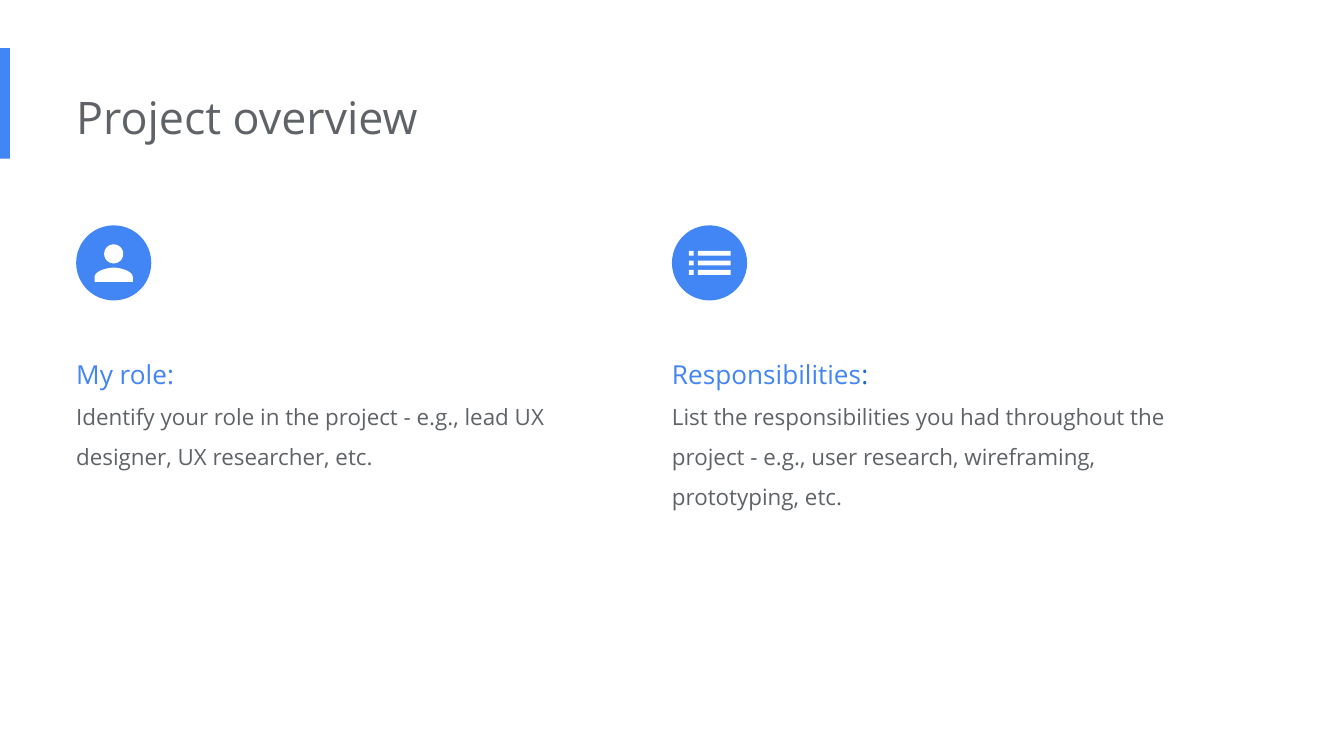
from math import cos, pi, sin

from pptx import Presentation
from pptx.dml.color import RGBColor
from pptx.enum.shapes import MSO_SHAPE
from pptx.enum.text import MSO_ANCHOR, MSO_AUTO_SIZE, PP_ALIGN
from pptx.util import Cm, Pt

# Content: heading runs (text, colour) and body of each column
FONT, BLUE, DARK_BLUE, GREY, WHITE = "Open Sans", "4285F4", "1967D2", "5F6368", "FFFFFF"
TITLE = "Project overview"
COLUMNS = [
    ([("My role:", BLUE)],
     "Identify your role in the project - e.g., lead UX designer, UX researcher, etc."),
    ([("Responsibilities", BLUE), (":", DARK_BLUE)],
     "List the responsibilities you had throughout the project - e.g., user research, "
     "wireframing, prototyping, etc."),
]

# Layout in centimetres
LEFT, COLUMN_STEP, COLUMN_WIDTH = 1.44, 11.26, 9.58
ICON_TOP, ICON_SIZE, TEXT_TOP = 4.26, 1.42, 6.22


def paint(shape, colour):
    shape.fill.solid()
    shape.fill.fore_color.rgb = RGBColor.from_string(colour)
    shape.line.fill.background()
    shape.shadow.inherit = False


def add_filled(kind, left, top, width, height, colour):
    shape = slide.shapes.add_shape(kind, Cm(left), Cm(top), Cm(width), Cm(height))
    paint(shape, colour)


def set_frame(frame):
    frame.word_wrap = True
    frame.auto_size = MSO_AUTO_SIZE.NONE
    frame.vertical_anchor = MSO_ANCHOR.TOP
    frame.margin_left = 0
    frame.margin_top = frame.margin_right = frame.margin_bottom = Cm(0.25)


def add_span(para, text, size, colour):
    span = para.add_run()
    span.text = text
    span.font.name = FONT
    span.font.size = Pt(size)
    span.font.color.rgb = RGBColor.from_string(colour)


def add_outline(contours, center_x, center_y):
    """Draw closed contours, given as offsets from the centre, as one white shape."""
    placed = [[(Cm(center_x + x), Cm(center_y + y)) for x, y in contour]
              for contour in contours]
    builder = slide.shapes.build_freeform(*placed[0][0], scale=1.0)
    for index, points in enumerate(placed):
        if index:
            builder.move_to(*points[0])
        builder.add_line_segments(points[1:], close=True)
    paint(builder.convert_to_shape(), WHITE)


def curve(start, first, second, end, steps=16):
    """Points along a cubic curve."""
    return [tuple((1 - t) ** 3 * a + 3 * (1 - t) ** 2 * t * b
                  + 3 * (1 - t) * t ** 2 * c + t ** 3 * d
                  for a, b, c, d in zip(start, first, second, end))
            for t in (step / steps for step in range(steps + 1))]


def person_contours():
    head = [(0.18 * cos(2 * pi * i / 40), -0.17 + 0.18 * sin(2 * pi * i / 40))
            for i in range(40)]
    left = curve((0, 0.09), (-0.12, 0.09), (-0.36, 0.15), (-0.36, 0.27))
    right = [(-x, y) for x, y in reversed(left)]
    return [head, left + [(-0.36, 0.36), (0.36, 0.36)] + right[:-1]]


def list_contours():
    half = 0.045
    return [[(x1, y - half), (x2, y - half), (x2, y + half), (x1, y + half)]
            for y in (-0.18, 0, 0.18)
            for x1, x2 in ((-0.39, -0.3), (-0.22, 0.4))]


deck = Presentation()
deck.slide_width, deck.slide_height = Cm(25.4), Cm(14.29)
slide = deck.slides.add_slide(deck.slide_layouts[5])

# Title with accent bar
add_filled(MSO_SHAPE.RECTANGLE, 0, 0.91, 0.19, 2.09, BLUE)
title = slide.shapes.title
title.left, title.top, title.width, title.height = Cm(LEFT), Cm(1.45), Cm(17.1), Cm(1.55)
set_frame(title.text_frame)
title_para = title.text_frame.paragraphs[0]
title_para.alignment = PP_ALIGN.LEFT
add_span(title_para, TITLE, 24, GREY)

# Columns: round icon above heading and body
icons = [person_contours(), list_contours()]
for index, ((heading, body), icon) in enumerate(zip(COLUMNS, icons)):
    left = LEFT + index * COLUMN_STEP
    add_filled(MSO_SHAPE.OVAL, left, ICON_TOP, ICON_SIZE, ICON_SIZE, BLUE)
    add_outline(icon, left + ICON_SIZE / 2, ICON_TOP + ICON_SIZE / 2)

    box = slide.shapes.add_textbox(Cm(left), Cm(TEXT_TOP), Cm(COLUMN_WIDTH), Cm(3.45))
    set_frame(box.text_frame)
    heading_para = box.text_frame.paragraphs[0]
    body_para = box.text_frame.add_paragraph()
    heading_para.line_spacing = body_para.line_spacing = 1.5
    for text, colour in heading:
        add_span(heading_para, text, 14, colour)
    add_span(body_para, body, 12, GREY)

deck.save("out.pptx")
